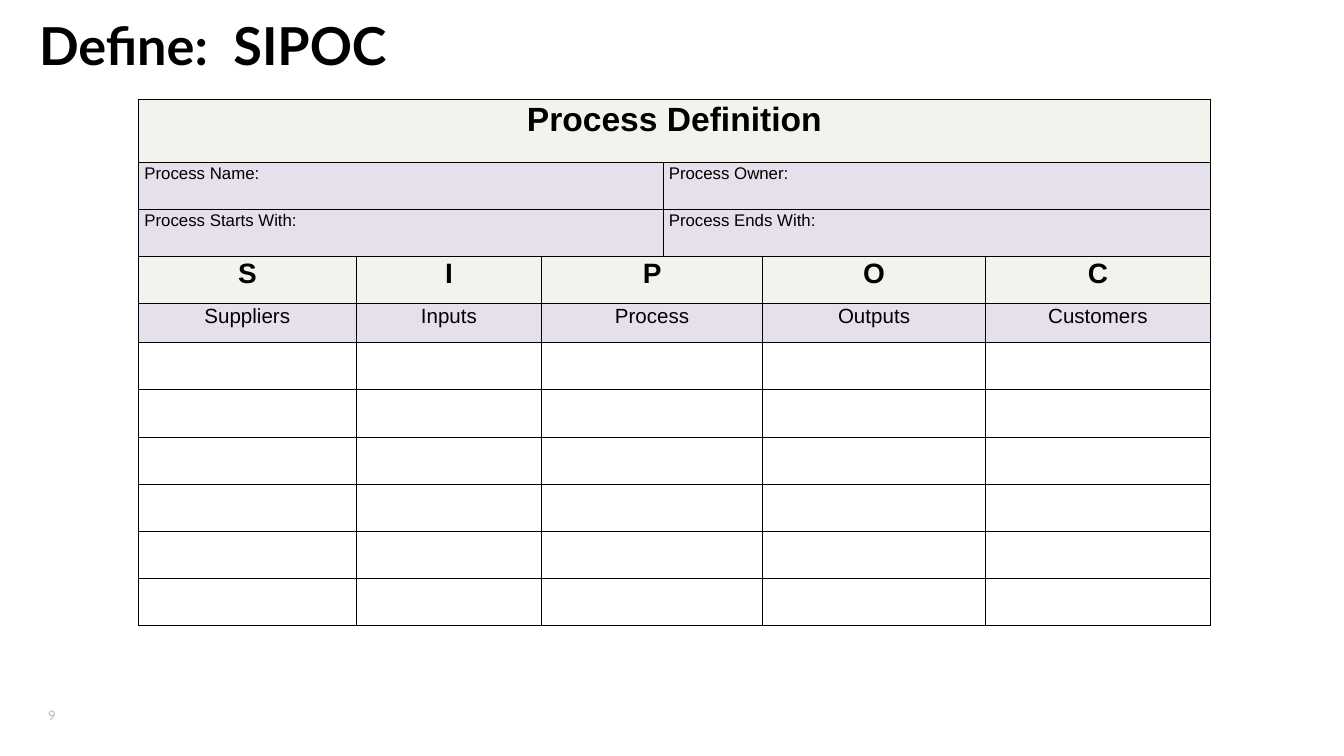
from lxml import etree
from pptx import Presentation
from pptx import util as u
from pptx.dml.color import RGBColor
from pptx.enum import text
from pptx.oxml import ns

# Content: each row is a kind and its cells as (text, columns spanned)
TITLE = "Define:  SIPOC"
PAGE_NUMBER = "9"
SIPOC_SPANS = (1, 1, 2, 1, 1)
LETTERS = ("S", "I", "P", "O", "C")
NAMES = ("Suppliers", "Inputs", "Process", "Outputs", "Customers")
ENTRY_ROWS = 6

ROWS = [
    ("heading", [("Process Definition", 6)]),
    ("field", [("Process Name:", 3), ("Process Owner:", 3)]),
    ("field", [("Process Starts With:", 3), ("Process Ends With:", 3)]),
    ("letter", list(zip(LETTERS, SIPOC_SPANS))),
    ("name", list(zip(NAMES, SIPOC_SPANS))),
] + [("entry", [("", span) for span in SIPOC_SPANS])] * ENTRY_ROWS

COLUMN_WIDTHS = (4.11, 3.51, 2.29, 1.88, 4.22, 4.24)
TABLE_LEFT, TABLE_TOP = 2.62, 1.88

CENTER, LEFT = text.PP_ALIGN.CENTER, text.PP_ALIGN.LEFT


class Theme:
    ink, muted, cream, lilac = "000000", "B9B8BB", "F4F2ED", "E5E0EC"
    title_font, table_font = "Lato", "Arial"
    title_size, number_size, border = 28, 7, 0.5
    # kind: row height, fill, type size, bold, alignment, left margin
    rows = {
        "heading": (1.19, cream, 18, True, CENTER, 0.03),
        "field": (0.89, lilac, 9, False, LEFT, 0.11),
        "letter": (0.89, cream, 15, True, CENTER, 0.03),
        "name": (0.74, lilac, 11, False, CENTER, 0.03),
        "entry": (0.89, None, 9, False, LEFT, 0.03),
    }


def style_spans(frame, font, size, color, bold=False):
    for para in frame.paragraphs:
        for span in para.runs:
            span.font.name, span.font.size = font, u.Pt(size)
            span.font.bold = bold
            span.font.color.rgb = RGBColor.from_string(color)


def add_label(page, words, place, anchor, wrap, *style):
    box = page.shapes.add_textbox(*(u.Cm(value) for value in place))
    frame = box.text_frame
    frame.margin_left = frame.margin_right = 0
    frame.margin_top = frame.margin_bottom = 0
    frame.word_wrap, frame.vertical_anchor = wrap, anchor
    frame.text = words
    style_spans(frame, *style)


def add_borders(cell):
    properties = cell._tc.get_or_add_tcPr()
    for index, side in enumerate(("lnL", "lnR", "lnT", "lnB")):
        line = etree.Element(ns.qn(f"a:{side}"), w=str(u.Pt(Theme.border)))
        fill = etree.SubElement(line, ns.qn("a:solidFill"))
        etree.SubElement(fill, ns.qn("a:srgbClr"), val=Theme.ink)
        properties.insert(index, line)


def style_cell(cell, kind):
    _, fill, _, _, _, margin = Theme.rows[kind]
    cell.margin_left = u.Cm(margin)
    cell.margin_right = cell.margin_top = u.Cm(0.03)
    cell.margin_bottom = 0
    if fill:
        cell.fill.solid()
        cell.fill.fore_color.rgb = RGBColor.from_string(fill)
    else:
        cell.fill.background()
    add_borders(cell)


def add_sipoc_table(page):
    heights = [Theme.rows[kind][0] for kind, _ in ROWS]
    table = page.shapes.add_table(
        len(ROWS), len(COLUMN_WIDTHS), u.Cm(TABLE_LEFT), u.Cm(TABLE_TOP),
        u.Cm(sum(COLUMN_WIDTHS)), u.Cm(sum(heights))).table
    table.first_row = table.horz_banding = False
    for column, width in zip(table.columns, COLUMN_WIDTHS):
        column.width = u.Cm(width)

    for row, (kind, cells) in enumerate(ROWS):
        height, _, size, bold, align, _ = Theme.rows[kind]
        table.rows[row].height = u.Cm(height)
        for cell in table.rows[row].cells:
            style_cell(cell, kind)
        column = 0
        for words, span in cells:
            cell = table.cell(row, column)
            if span > 1:
                cell.merge(table.cell(row, column + span - 1))
            if words:
                cell.text_frame.text = words
                cell.text_frame.paragraphs[0].alignment = align
                style_spans(cell.text_frame, Theme.table_font, size, Theme.ink, bold)
            column += span


def main():
    deck = Presentation()
    deck.slide_width, deck.slide_height = u.Cm(25.4), u.Cm(14.29)
    page = deck.slides.add_slide(deck.slide_layouts[6])

    # Page number and title
    add_label(page, PAGE_NUMBER, (0.91, 13.31, 0.89, 0.41), text.MSO_ANCHOR.MIDDLE,
              False, Theme.title_font, Theme.number_size, Theme.muted)
    add_label(page, TITLE, (0.74, 0.25, 22.86, 0.94), text.MSO_ANCHOR.TOP,
              True, Theme.title_font, Theme.title_size, Theme.ink, True)

    # Process definition and SIPOC grid
    add_sipoc_table(page)
    deck.save("out.pptx")


if __name__ == "__main__":
    main()
